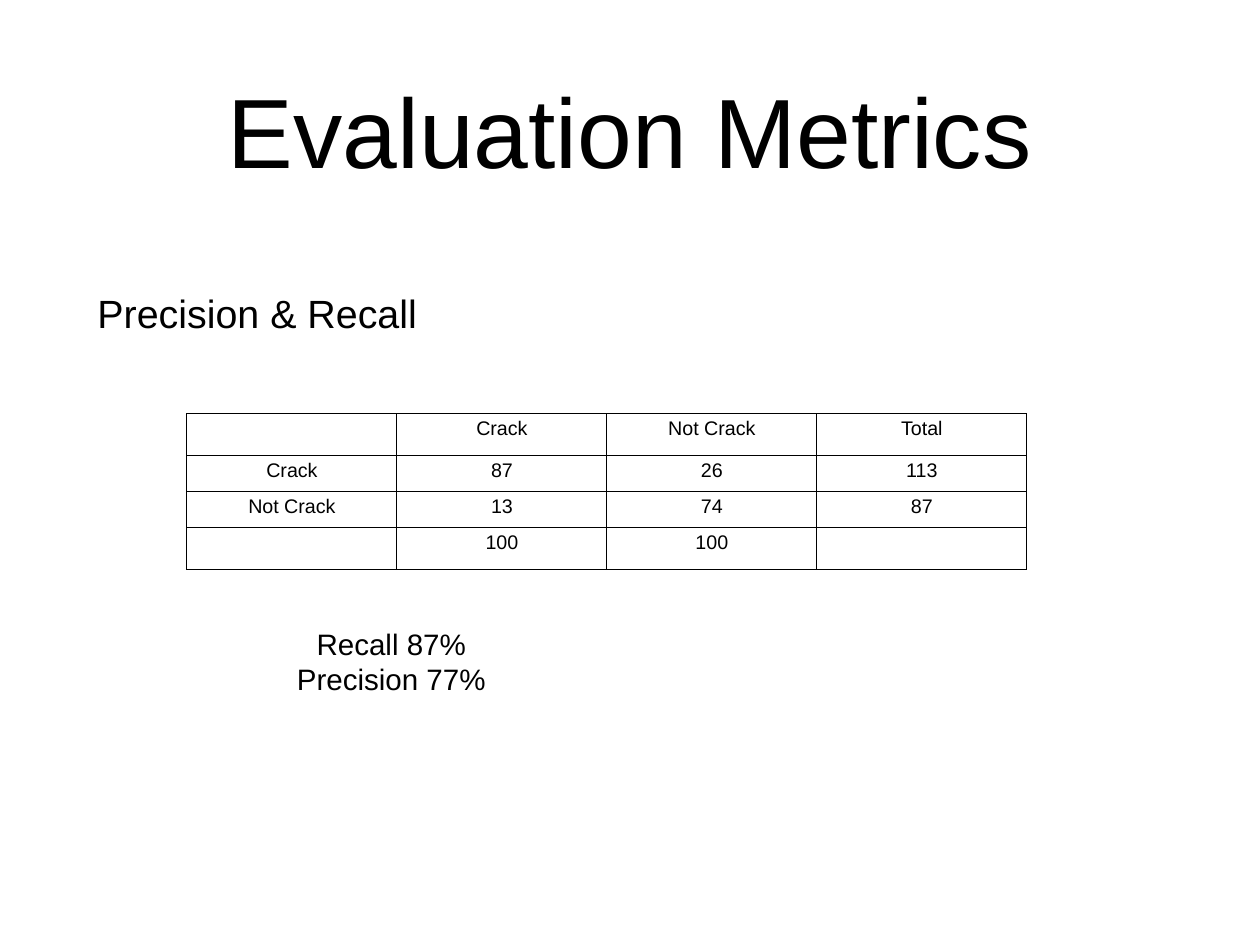
from dataclasses import dataclass

import pptx
import pptx.dml.color
import pptx.enum.text
import pptx.oxml
import pptx.oxml.ns
import pptx.slide
import pptx.table
import pptx.text.text
import pptx.util
from pptx.util import Inches

FONT = "Arial"
COLORS = {"text": "000000", "border": "000000", "background": "FFFFFF"}
ALIGN = pptx.enum.text.PP_ALIGN
ANCHOR = pptx.enum.text.MSO_ANCHOR


@dataclass(frozen=True)
class TextBlock:
    left: float
    top: float
    width: float
    height: float
    size: int
    lines: tuple[str, ...]
    align: ALIGN = ALIGN.CENTER
    anchor: ANCHOR = ANCHOR.MIDDLE
    wrap: bool = True


TEXT_BLOCKS = (
    TextBlock(1.04, 0.28, 12.14, 2.36, 80, ("Evaluation Metrics",)),
    TextBlock(1.04, 3.2, 12.14, 0.65, 32, ("Precision & Recall",),
              align=ALIGN.LEFT, anchor=ANCHOR.TOP),
    TextBlock(3.27, 7.01, 2.29, 0.91, 24, ("Recall 87%", "Precision 77%"),
              wrap=False),
)

CONFUSION_ROWS = (
    ("", "Crack", "Not Crack", "Total"),
    ("Crack", "87", "26", "113"),
    ("Not Crack", "13", "74", "87"),
    ("", "100", "100", ""),
)
TABLE_LEFT, TABLE_TOP = 2.11, 4.67
COLUMN_WIDTH = 2.37
ROW_HEIGHTS = (0.47, 0.41, 0.41, 0.47)


def set_margins(target: pptx.text.text.TextFrame | pptx.table._Cell,
                inches: float) -> None:
    for side in ("left", "right", "top", "bottom"):
        setattr(target, f"margin_{side}", Inches(inches))


def style_paragraph(paragraph: pptx.text.text._Paragraph, size: int,
                    align: ALIGN) -> None:
    paragraph.alignment = align
    paragraph.font.name = FONT
    paragraph.font.size = pptx.util.Pt(size)
    paragraph.font.color.rgb = pptx.dml.color.RGBColor.from_string(COLORS["text"])


def add_text(slide: pptx.slide.Slide, block: TextBlock) -> None:
    shape = slide.shapes.add_textbox(Inches(block.left), Inches(block.top),
                                     Inches(block.width), Inches(block.height))
    frame = shape.text_frame
    frame.word_wrap = block.wrap
    frame.vertical_anchor = block.anchor
    set_margins(frame, 0.06)
    frame.text = "\n".join(block.lines)
    for paragraph in frame.paragraphs:
        style_paragraph(paragraph, block.size, block.align)


def add_borders(cell: pptx.table._Cell) -> None:
    properties = cell._tc.get_or_add_tcPr()
    for side in ("lnL", "lnR", "lnT", "lnB"):
        properties.append(pptx.oxml.parse_xml(
            f'<a:{side} {pptx.oxml.ns.nsdecls("a")} w="{pptx.util.Pt(1)}">'
            f'<a:solidFill><a:srgbClr val="{COLORS["border"]}"/></a:solidFill>'
            f'</a:{side}>'))


def add_confusion_table(slide: pptx.slide.Slide) -> None:
    column_count = len(CONFUSION_ROWS[0])
    table = slide.shapes.add_table(
        len(CONFUSION_ROWS), column_count, Inches(TABLE_LEFT), Inches(TABLE_TOP),
        Inches(COLUMN_WIDTH * column_count), Inches(sum(ROW_HEIGHTS))).table
    table.first_row = table.horz_banding = False
    for column in table.columns:
        column.width = Inches(COLUMN_WIDTH)
    for row, height, values in zip(table.rows, ROW_HEIGHTS, CONFUSION_ROWS):
        row.height = Inches(height)
        for cell, value in zip(row.cells, values):
            cell.text = value
            set_margins(cell, 0.05)
            style_paragraph(cell.text_frame.paragraphs[0], 16, ALIGN.CENTER)
            add_borders(cell)
            cell.fill.background()


def main() -> None:
    presentation = pptx.Presentation()
    presentation.slide_width = Inches(14.22)
    presentation.slide_height = Inches(10.67)
    slide = presentation.slides.add_slide(presentation.slide_layouts[6])
    background = slide.background.fill
    background.solid()
    background.fore_color.rgb = pptx.dml.color.RGBColor.from_string(
        COLORS["background"])
    for block in TEXT_BLOCKS:
        add_text(slide, block)
    add_confusion_table(slide)
    presentation.save("out.pptx")


if __name__ == "__main__":
    main()
